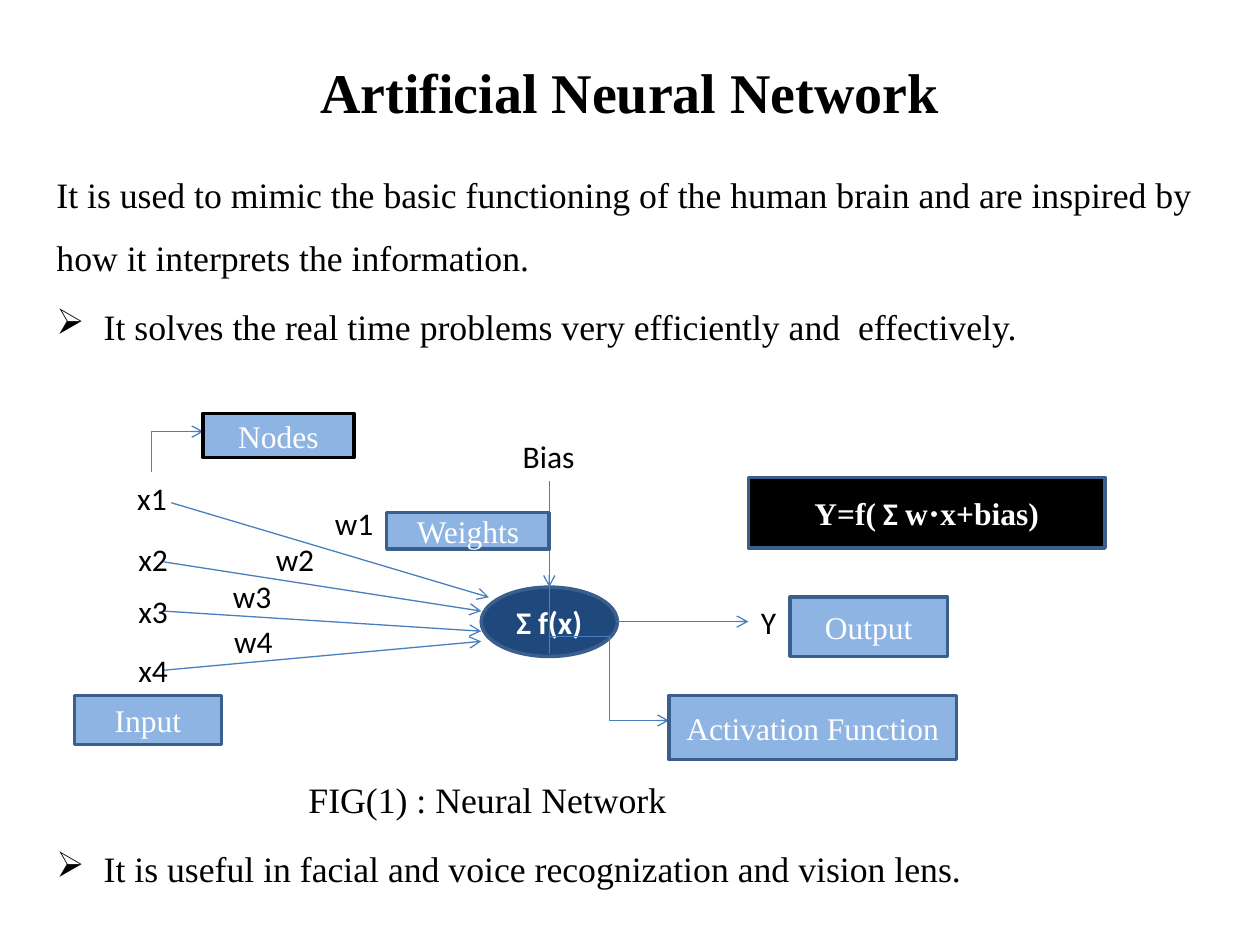
"""Build a slide that explains an artificial neural network with a labelled diagram."""
from typing import NamedTuple

from lxml import etree
from pptx import Presentation
from pptx.dml.color import RGBColor
from pptx.enum.shapes import MSO_CONNECTOR, MSO_SHAPE
from pptx.enum.text import MSO_ANCHOR, MSO_AUTO_SIZE, PP_ALIGN
from pptx.oxml.ns import qn
from pptx.util import Pt

STRAIGHT, ELBOW = MSO_CONNECTOR.STRAIGHT, MSO_CONNECTOR.ELBOW
RECTANGLE, OVAL = MSO_SHAPE.RECTANGLE, MSO_SHAPE.OVAL
CENTER, LEFT = PP_ALIGN.CENTER, PP_ALIGN.LEFT
MIDDLE = MSO_ANCHOR.MIDDLE
FIT_SHAPE = MSO_AUTO_SIZE.SHAPE_TO_FIT_TEXT
TOP_SITE, LEFT_SITE, BOTTOM_SITE = 0, 1, 2
SERIF, SANS = "Times New Roman", "Calibri"
COLORS = {
    "black": "000000",
    "white": "FFFFFF",
    "navy": "1F497D",
    "sky": "8EB4E3",
    "border": "3A5F8C",
    "wire": "4B7EBC",
}
LABEL_HEIGHT = 28.8
NEURON_X, NEURON_Y = 313.9, 355.2


class Label(NamedTuple):
    text: str
    left: float
    top: float
    width: float


class Box(NamedTuple):
    text: str
    left: float
    top: float
    width: float
    height: float
    fill: str = "sky"
    border: str = "border"


class Wire(NamedTuple):
    start_x: float
    start_y: float
    end_x: float
    end_y: float


class Statement(NamedTuple):
    text: str
    bullet: bool = False
    indent: float = 0
    space_before: float = 4


STATEMENTS = [
    Statement("It is used to mimic the basic functioning of the human brain "
              "and are inspired by how it interprets the information."),
    Statement("It solves the real time problems very efficiently and  effectively.", True, 27),
    Statement("FIG(1) : Neural Network", indent=144, space_before=234.3),
    Statement("It is useful in facial and voice recognization and vision lens.", True, 27),
]
INPUT_WIRES = [
    Wire(93.6, 321.1, 275, 349.2),
    Wire(97.9, 287.3, 279.4, 341.3),
    Wire(93.6, 349.2, 275, 360.7),
    Wire(93.6, 383, 275, 366.5),
]
NEURON = Box("Σ f(x)", 275, 335.5, 77.8, 39.6, "navy")
OUTPUT_LABEL = Label("Y", 427.7, NEURON_Y - LABEL_HEIGHT / 2, 23)
BIAS_LABEL = Label("Bias", 291.6, 246.2, 44.6)
LABELS = [
    Label("x1", 71.3, 270, 31.7),
    Label("x2", 72, 305.3, 31.7),
    Label("x3", 72, 334.8, 31.7),
    Label("x4", 72, 368.6, 31.7),
    Label("w1", 184.3, 284.4, 36.7),
    Label("w2", 150.5, 305.3, 36.7),
    Label("w3", 126, 326.2, 36.7),
    Label("w4", 126.7, 352.1, 36.7),
]
FORMULA = Box("", 427.7, 272.9, 203.8, 40.3, "black")
BOXES = [
    Box("Nodes", 115.9, 236.2, 86.4, 25.2, border="black"),
    Box("Weights", 221, 293, 92.9, 20.9),
    Box("Output", 451.4, 341.3, 90, 33.8),
    Box("Activation Function", 382.3, 397.4, 164.2, 36.7),
    Box("Input", 42.5, 397.4, 84.2, 28.1),
]


def add_text(paragraph, text: str, *, size: float = 18, font: str = SERIF,
             color: str = "black", bold: bool = False, align=LEFT) -> None:
    """Append a formatted run to a paragraph."""
    paragraph.alignment = align
    run = paragraph.add_run()
    run.text = text
    run.font.size = Pt(size)
    run.font.name = font
    run.font.bold = bold
    run.font.color.rgb = RGBColor.from_string(COLORS[color])


def add_label(slide, label: Label):
    """Draw an unwrapped text label."""
    shape = slide.shapes.add_textbox(
        Pt(label.left), Pt(label.top), Pt(label.width), Pt(LABEL_HEIGHT))
    shape.text_frame.word_wrap = False
    shape.text_frame.auto_size = FIT_SHAPE
    add_text(shape.text_frame.paragraphs[0], label.text, font=SANS)
    return shape


def add_box(slide, box: Box, kind=RECTANGLE, **text_format):
    """Draw a filled, bordered shape with centred white text."""
    shape = slide.shapes.add_shape(
        kind, Pt(box.left), Pt(box.top), Pt(box.width), Pt(box.height))
    shape.shadow.inherit = False
    shape.fill.solid()
    shape.fill.fore_color.rgb = RGBColor.from_string(COLORS[box.fill])
    shape.line.color.rgb = RGBColor.from_string(COLORS[box.border])
    shape.line.width = Pt(2)
    shape.text_frame.word_wrap = True
    shape.text_frame.vertical_anchor = MIDDLE
    if box.text:
        add_text(shape.text_frame.paragraphs[0], box.text,
                 color="white", align=CENTER, **text_format)
    return shape


def add_wire(slide, wire: Wire, kind=STRAIGHT, arrow: bool = True):
    """Draw a thin connector, with an open arrowhead if wanted."""
    connector = slide.shapes.add_connector(kind, *(Pt(value) for value in wire))
    connector.line.color.rgb = RGBColor.from_string(COLORS["wire"])
    connector.line.width = Pt(0.75)
    properties = connector._element.spPr
    if arrow:
        etree.SubElement(properties.find(qn("a:ln")), qn("a:tailEnd"), type="arrow")
    etree.SubElement(properties, qn("a:effectLst"))
    return connector


def add_corner_wire(slide, wire: Wire) -> None:
    """Draw a connector with one bend, turned by a quarter."""
    properties = add_wire(slide, wire, ELBOW)._element.spPr
    properties.find(qn("a:xfrm")).set("rot", "5400000")
    properties.find(qn("a:prstGeom")).set("prst", "bentConnector2")


def add_statements(slide) -> None:
    """Write the statements above and below the diagram."""
    frame = slide.shapes.add_textbox(Pt(25.2), Pt(84), Pt(674.6), Pt(430)).text_frame
    frame.word_wrap = True
    for index, statement in enumerate(STATEMENTS):
        paragraph = frame.add_paragraph() if index else frame.paragraphs[0]
        add_text(paragraph, statement.text, size=20.4)
        paragraph.line_spacing = 1.46
        paragraph.space_before = Pt(statement.space_before)
        properties = paragraph._p.get_or_add_pPr()
        properties.set("marL", str(Pt(statement.indent)))
        if statement.bullet:
            properties.set("indent", str(-Pt(statement.indent)))
            etree.SubElement(properties, qn("a:buChar"), char="➢")


def main() -> None:
    """Create and save the presentation."""
    presentation = Presentation()
    presentation.slide_width, presentation.slide_height = Pt(720), Pt(540)
    slide = presentation.slides.add_slide(presentation.slide_layouts[5])
    title = slide.shapes.title
    title.left, title.top, title.width, title.height = Pt(36), Pt(21.6), Pt(648), Pt(61.2)
    title.text_frame.vertical_anchor = MIDDLE
    add_text(title.text_frame.paragraphs[0], "Artificial Neural Network",
             size=32, bold=True, align=CENTER)
    add_statements(slide)

    for wire in INPUT_WIRES:
        add_wire(slide, wire)
    add_box(slide, NEURON, OVAL, font=SANS, bold=True)
    add_wire(slide, Wire(NEURON_X, 334.1, NEURON_X, 373.7), arrow=False)
    bias = add_label(slide, BIAS_LABEL)
    output = add_label(slide, OUTPUT_LABEL)
    add_wire(slide, Wire(NEURON_X, 275, NEURON_X, NEURON.top)).begin_connect(bias, BOTTOM_SITE)
    add_wire(slide, Wire(352.8, NEURON_Y, 427.7, NEURON_Y)).end_connect(output, LEFT_SITE)
    for label in LABELS:
        add_label(slide, label)

    formula = add_box(slide, FORMULA).text_frame.paragraphs[0]
    for text, font in (("Y=f(", SERIF), (" Σ ", SANS), ("w⋅x+bias)", SERIF)):
        add_text(formula, text, font=font, color="white", bold=True, align=CENTER)
    add_corner_wire(slide, Wire(113, 272.9, 90, 243.4))
    add_wire(slide, Wire(NEURON_X, 363.6, 382.3, 411.8), ELBOW)
    for box in BOXES:
        add_box(slide, box)
    presentation.save("out.pptx")


if __name__ == "__main__":
    main()
